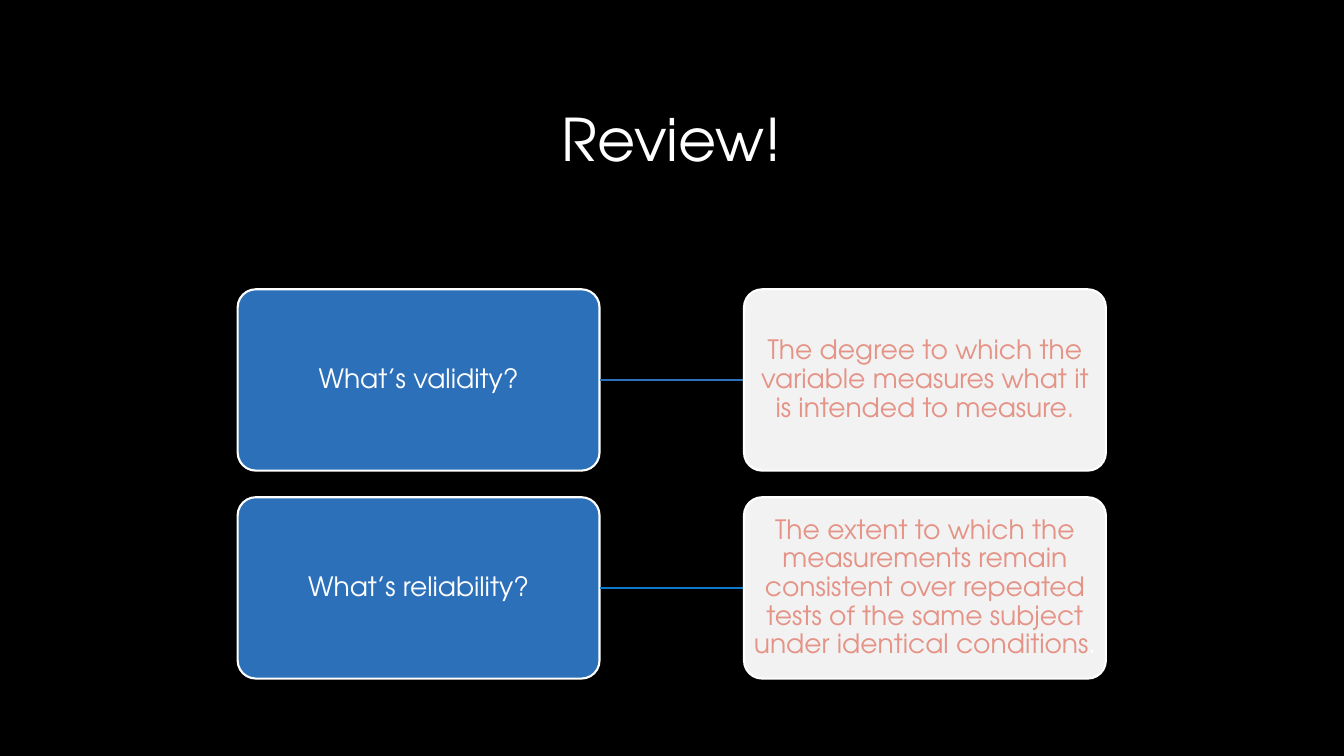
from dataclasses import dataclass

from pptx import Presentation, util as u
from pptx.dml.color import RGBColor as Rgb
from pptx.enum import shapes, text
from pptx.oxml.ns import qn
from lxml import etree


@dataclass(frozen=True)
class Theme:
    font: str = "TeX Gyre Adventor"
    back: str = "000000"
    white: str = "FFFFFF"
    blue: str = "2C70BA"
    azure: str = "0D79CA"
    pale: str = "F2F2F2"
    coral: str = "E49386"
    title: int = 42
    body: int = 19
    line: float = 1.5


class Deck:
    """Draws elements on one slide in one theme."""

    def __init__(self, slide, theme):
        self.slide, self.theme = slide, theme
        fill = slide.background.fill
        fill.solid()
        fill.fore_color.rgb = Rgb.from_string(theme.back)

    def label(self, frame, parts, size, inset=0.25):
        """Fill a frame with one centred paragraph of (words, colour) parts."""
        frame.word_wrap = True
        frame.vertical_anchor = text.MSO_ANCHOR.MIDDLE
        frame.margin_left = frame.margin_right = u.Cm(inset)
        frame.margin_top = frame.margin_bottom = u.Cm(inset)
        para = frame.paragraphs[0]
        para.alignment = text.PP_ALIGN.CENTER
        para.line_spacing = 0.9
        para.font.name, para.font.size = self.theme.font, u.Pt(size)
        for words, colour in parts:
            run = para.add_run()
            run.text = words
            run.font.color.rgb = Rgb.from_string(colour)

    def title(self, words, x, y, w, h):
        box = self.slide.shapes.add_textbox(u.Cm(x), u.Cm(y), u.Cm(w), u.Cm(h))
        self.label(box.text_frame, [(words, self.theme.white)], self.theme.title)

    def card(self, parts, fill, x, y, w, h):
        box = self.slide.shapes.add_shape(
            shapes.MSO_SHAPE.ROUNDED_RECTANGLE, u.Cm(x), u.Cm(y), u.Cm(w), u.Cm(h))
        box.adjustments[0] = 0.1
        box.shadow.inherit = False
        box.fill.solid()
        box.fill.fore_color.rgb = Rgb.from_string(fill)
        box.line.color.rgb = Rgb.from_string(self.theme.white)
        box.line.width = u.Pt(self.theme.line)
        self.label(box.text_frame, parts, self.theme.body, inset=0.03)

    def link(self, colour, x, y, w):
        line = self.slide.shapes.add_connector(
            shapes.MSO_CONNECTOR.STRAIGHT, u.Cm(x), u.Cm(y), u.Cm(x + w), u.Cm(y))
        line.line.color.rgb = Rgb.from_string(colour)
        line.line.width = u.Pt(self.theme.line)
        etree.SubElement(line._element.spPr, qn("a:effectLst"))


def main():
    show = Presentation()
    show.slide_width, show.slide_height = u.Cm(33.87), u.Cm(19.05)
    theme = Theme()
    deck = Deck(show.slides.add_slide(show.slide_layouts[6]), theme)

    # Heading
    deck.title("Review!", 4.23, 1.02, 25.4, 5.16)

    # Question, link and answer in each row
    rows = [
        ("What’s validity?", theme.blue,
         [("The degree to which the variable measures what it is intended "
           "to measure.", theme.coral)]),
        ("What’s reliability?", theme.azure,
         [("The extent to which the measurements remain consistent over repeated "
           "tests of the same subject under identical conditions", theme.coral),
          (".", theme.white)]),
    ]
    left, top, wide, high = 5.99, 7.29, 9.12, 4.57
    gap, step = 3.64, 5.24
    for i, (query, colour, answer) in enumerate(rows):
        y = top + i * step
        deck.card([(query, theme.white)], theme.blue, left, y, wide, high)
        deck.link(colour, left + wide, y + high / 2, gap)
        deck.card(answer, theme.pale, left + wide + gap, y, wide, high)

    show.save("out.pptx")


if __name__ == "__main__":
    main()
